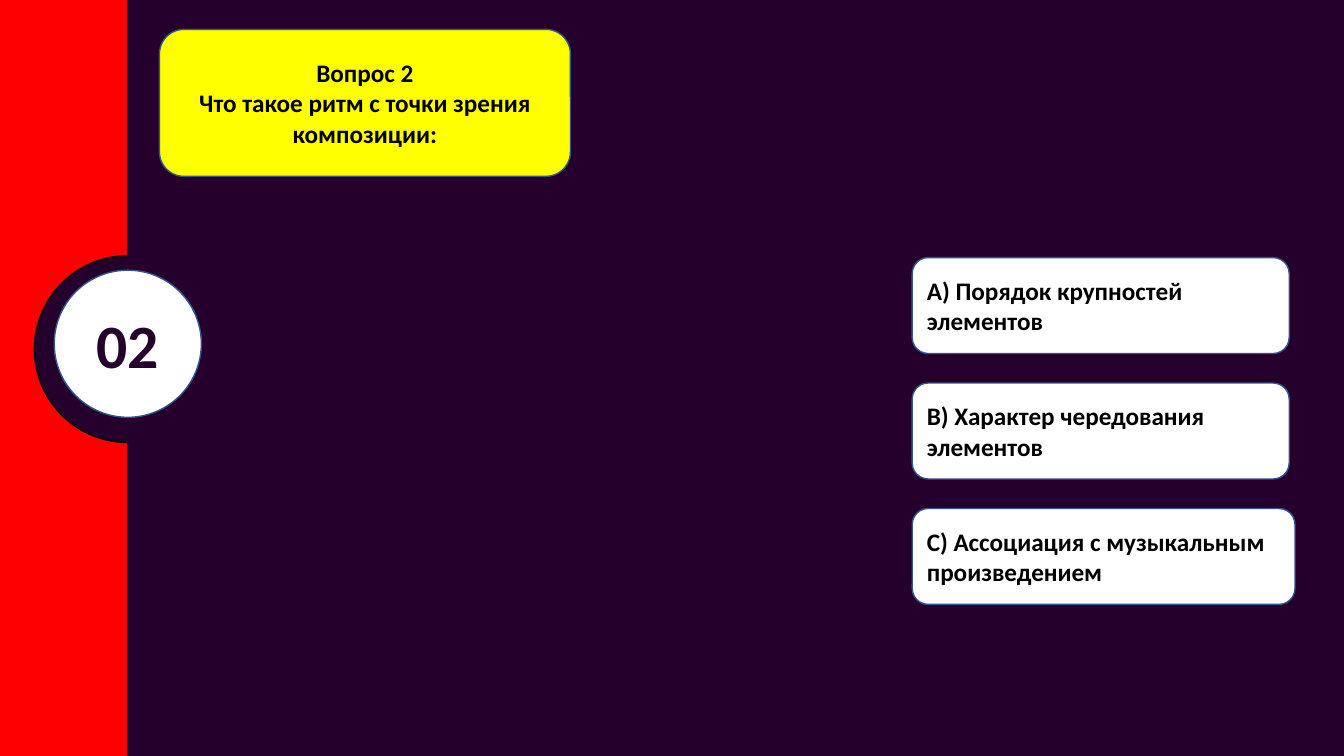
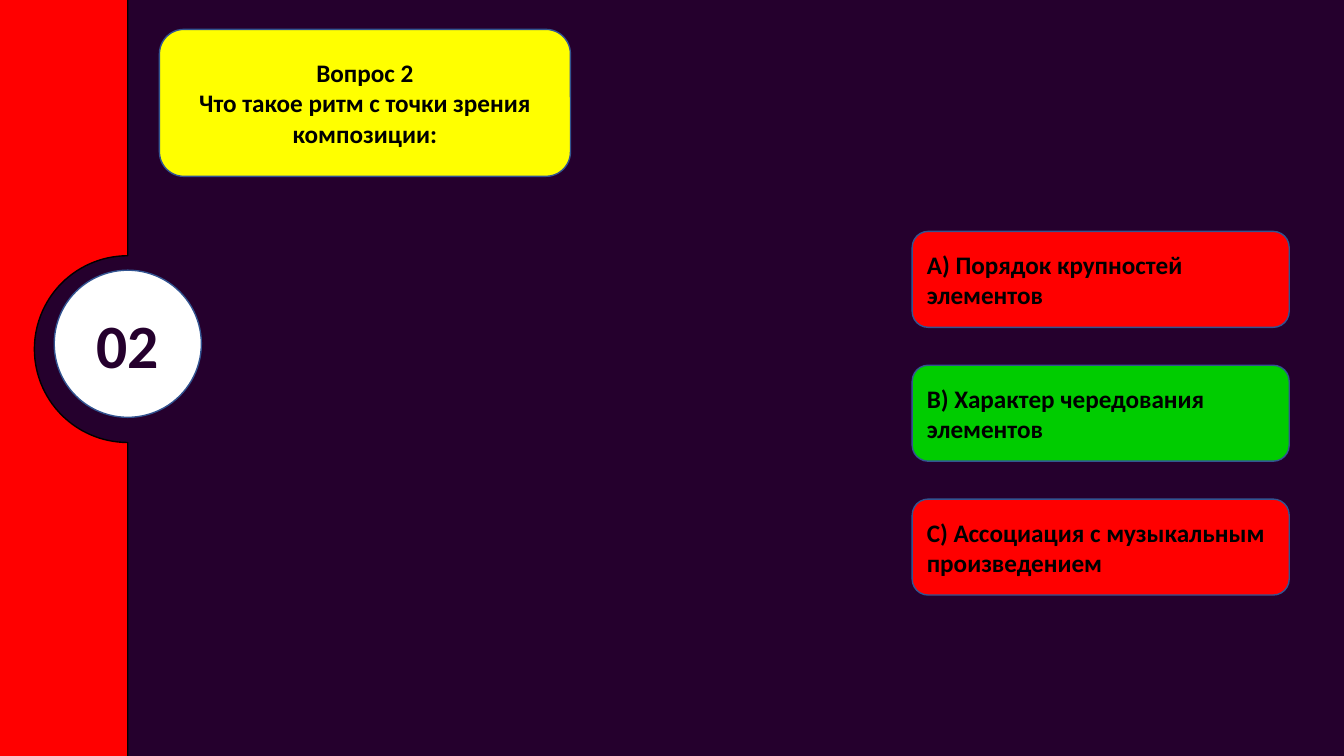
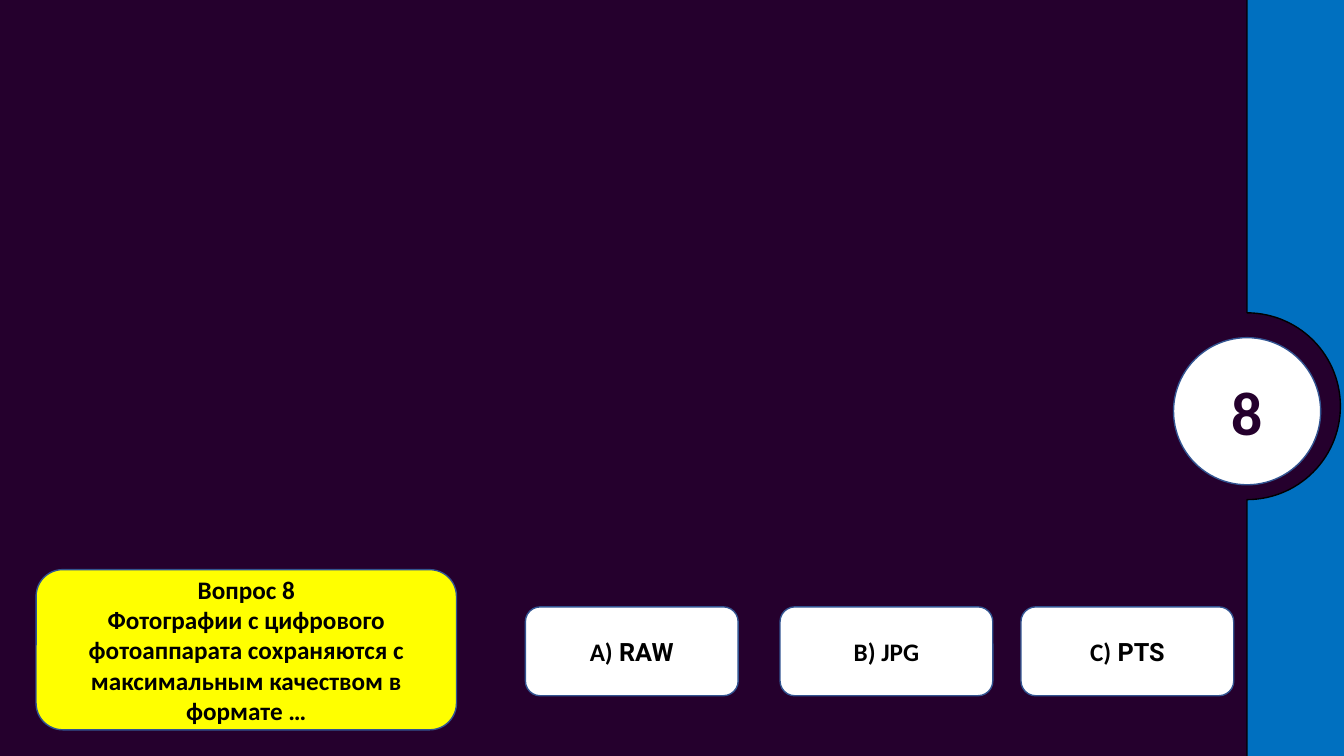
from math import cos, pi, sin

from pptx import Presentation
from pptx.dml.color import RGBColor
from pptx.enum.shapes import MSO_SHAPE as Preset
from pptx.enum.text import MSO_ANCHOR as Anchor, PP_ALIGN as Align
from pptx.util import Pt

COLORS = {
    "night": "25002D", "outline": "325491", "black": "000000", "white": "FFFFFF",
    "red": "FF0000", "yellow": "FFFF00", "green": "00CC00", "blue": "0070C0",
}
WIDTH, HEIGHT = 960, 540
BLEED = 4            # the band runs past the slide edge so its outline stays out of sight
NOTCH_RADIUS = 66.7
DISC = 105.1


def paint(shape, fill, line):
    shape.shadow.inherit = False
    shape.fill.solid()
    shape.fill.fore_color.rgb = RGBColor.from_string(COLORS[fill])
    shape.line.color.rgb = RGBColor.from_string(COLORS[line])
    shape.line.width = Pt(1)


def add_card(slide, preset, box, fill, parts, align=Align.CENTER, size=18, color="black"):
    """Draw a filled shape; parts are (text, font) pairs that follow one another."""
    card = slide.shapes.add_shape(preset, *map(Pt, box))
    paint(card, fill, "outline")
    frame = card.text_frame
    frame.word_wrap = True
    frame.vertical_anchor = Anchor.MIDDLE
    frame.text = parts[0][0]
    for text, font in parts[1:]:
        frame.paragraphs[-1].add_run().text = text
    for paragraph in frame.paragraphs:
        paragraph.alignment = align
        for run, (text, font) in zip(paragraph.runs, parts):
            run.font.name = font
            run.font.size = Pt(size)
            run.font.bold = True
            run.font.color.rgb = RGBColor.from_string(COLORS[color])


prs = Presentation()
prs.slide_width, prs.slide_height = Pt(WIDTH), Pt(HEIGHT)
background = prs.slide_master.background.fill
background.solid()
background.fore_color.rgb = RGBColor.from_string(COLORS["night"])

# Content of the quiz
rhythm = {
    "number": "02", "band": "red", "side": -1, "edge": 91.3,
    "notch_y": 249.4, "disc_y": 193,
    "question": "Вопрос 2\nЧто такое ритм с точки зрения композиции:",
    "question_box": (113.9, 21, 293.6, 105),
    "align": Align.LEFT,
}
rhythm_answers = [
    "A) Порядок крупностей элементов",
    "B) Характер чередования элементов",
    "C) Ассоциация с музыкальным произведением",
]
formats = {
    "number": "8", "band": "blue", "side": 1, "edge": 890.8,
    "notch_y": 290.2, "disc_y": 241.2,
    "question": "Вопрос 8\nФотографии с цифрового фотоаппарата сохраняются "
                "с максимальным качеством в формате …",
    "question_box": (25.8, 406.9, 300.3, 114.4),
    "align": Align.CENTER,
}

# Answer cards: box, fill and text parts
open_answers, checked_answers = [], []
for row, (answer, width, verdict) in enumerate(zip(
        rhythm_answers, (269.3, 269.3, 273.4), ("red", "green", "red"))):
    parts = [(answer, "Calibri")]
    open_answers.append(((651.6, 184 + 89.6 * row, width, 68.5), "white", parts))
    checked_answers.append(((651.6, 165.3 + 95.6 * row, 269.3, 68.5), verdict, parts))
format_answers = [
    ((left, 433.5, 152, 63.5), "white", parts) for left, parts in (
        (375.3, [("A)", "Calibri"), (" RAW", "Roboto")]),
        (557.2, [("B) JPG", "Calibri")]),
        (729.3, [("C)", "Calibri"), (" PTS", "Roboto")]),
    )
]

for quiz, answers in ((rhythm, open_answers), (rhythm, checked_answers),
                      (formats, format_answers)):
    slide = prs.slides.add_slide(prs.slide_layouts[6])
    edge, side = quiz["edge"], quiz["side"]

    # Side band with a round notch
    outer = -BLEED if side < 0 else WIDTH + BLEED
    angles = [pi * step / 60 - pi / 2 for step in range(61)]
    notch = [(edge + side * NOTCH_RADIUS * cos(angle),
              quiz["notch_y"] + NOTCH_RADIUS * sin(angle)) for angle in angles]
    outline = [(edge, -BLEED), *notch, (edge, HEIGHT + BLEED), (outer, HEIGHT + BLEED)]
    builder = slide.shapes.build_freeform(Pt(outer), Pt(-BLEED))
    builder.add_line_segments([(Pt(x), Pt(y)) for x, y in outline], close=True)
    paint(builder.convert_to_shape(), quiz["band"], "black")

    # Question number
    add_card(slide, Preset.OVAL, (edge - DISC / 2, quiz["disc_y"], DISC, DISC), "white",
             [(quiz["number"], "Calibri")], size=44, color="night")

    # Question and answers
    add_card(slide, Preset.ROUNDED_RECTANGLE, quiz["question_box"], "yellow",
             [(quiz["question"], "Calibri")])
    for box, fill, parts in answers:
        add_card(slide, Preset.ROUNDED_RECTANGLE, box, fill, parts, quiz["align"])

prs.save("out.pptx")
